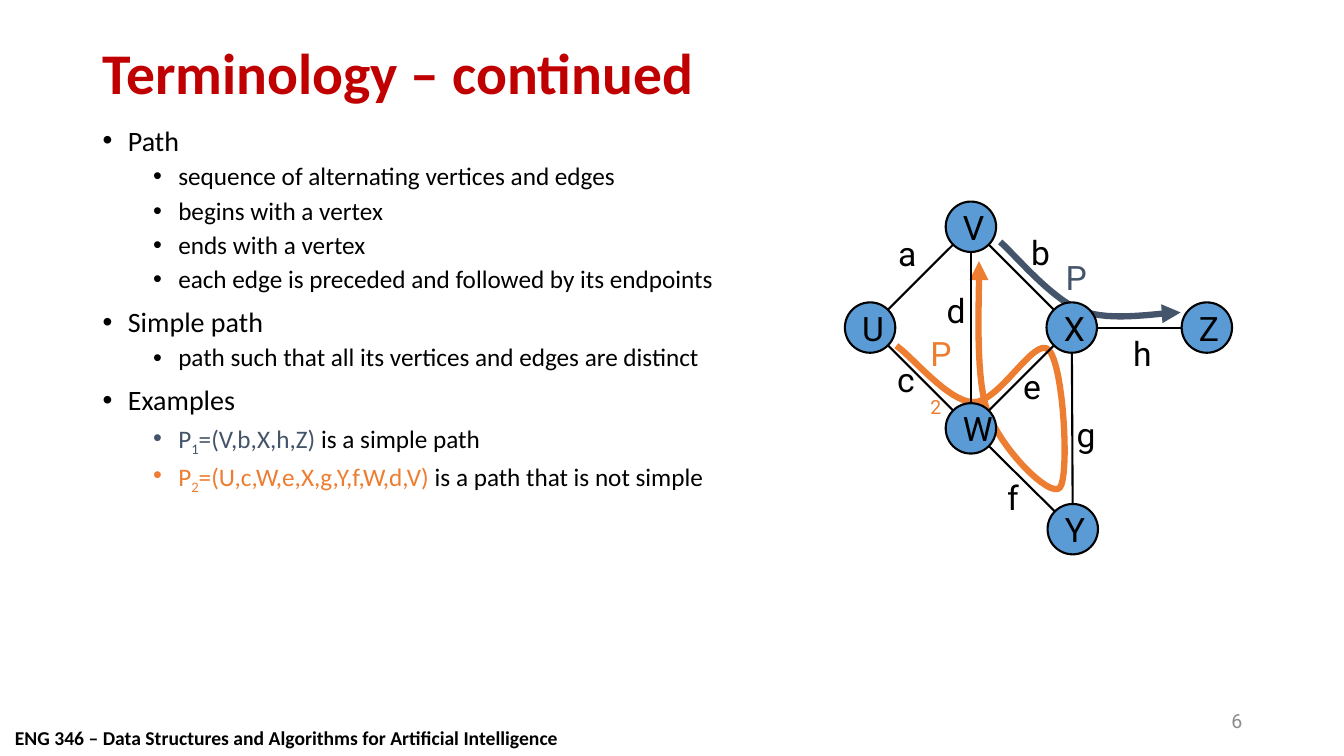
"""Build the slide on paths in a graph."""
import math
import pptx
import pptx.util
import pptx.dml.color
import pptx.enum.shapes
import pptx.enum.text
import pptx.oxml
import pptx.oxml.ns

RGB = pptx.dml.color.RGBColor
BLACK = RGB(0x00, 0x00, 0x00)
RED = RGB(0xC0, 0x00, 0x00)
SLATE = RGB(0x44, 0x54, 0x6A)
ORANGE = RGB(0xED, 0x7D, 0x31)
BLUE = RGB(0x5B, 0x9B, 0xD5)
GRAY = RGB(0x8C, 0x8C, 0x8C)

PX = 9144
RADIUS = 25
STEPS = 16
ANCHOR = pptx.enum.text.MSO_ANCHOR
ALIGN = pptx.enum.text.PP_ALIGN

TITLE = "Terminology – continued"
FOOTER = "ENG 346 – Data Structures and Algorithms for Artificial Intelligence"
NUMBER = "6"

BODY = [
    (0, BLACK, [("Path", BLACK, 0)]),
    (1, BLACK, [("sequence of alternating vertices and edges", BLACK, 0)]),
    (1, BLACK, [("begins with a vertex", BLACK, 0)]),
    (1, BLACK, [("ends with a vertex", BLACK, 0)]),
    (1, BLACK, [("each edge is preceded and followed by its endpoints", BLACK, 0)]),
    (0, BLACK, [("Simple path", BLACK, 0)]),
    (1, BLACK, [("path such that all its vertices and edges are distinct", BLACK, 0)]),
    (0, BLACK, [("Examples", BLACK, 0)]),
    (1, SLATE, [("P", SLATE, 0), ("1", SLATE, -25), ("=(V,b,X,h,Z)", SLATE, 0),
                (" is a simple path", BLACK, 0)]),
    (1, ORANGE, [("P", ORANGE, 0), ("2", ORANGE, -25),
                 ("=(U,c,W,e,X,g,Y,f,W,d,V)", ORANGE, 0),
                 (" is a path that is not simple", BLACK, 0)]),
]
LEVELS = [
    {"size": 20, "left": 25, "before": 10},
    {"size": 18, "left": 75, "before": 5},
]

NODES = {"X": (1063, 325), "U": (863, 325), "V": (963, 225),
         "W": (963, 425), "Z": (1197, 325), "Y": (1064, 525)}
EDGES = ["VU", "WU", "WX", "XZ", "VX", "VW", "WY", "XY"]
LABELS = {"a": (881, 226, 38), "c": (880, 351, 36), "b": (1013, 225, 40),
          "e": (1005, 358, 38), "d": (929, 283, 40), "f": (989, 468, 31),
          "g": (1058, 406, 40), "h": (1114, 325, 40)}

TRAIL_ONE = [(992, 240), (1005, 251), (1042, 296), (1072, 308),
             (1102, 320), (1150, 310), (1171, 310)]
TRAIL_TWO = [(889, 343), (905, 354), (940, 398), (965, 399),
             (991, 400), (1026, 333), (1040, 347),
             (1055, 361), (1061, 474), (1051, 484),
             (1041, 494), (992, 445), (979, 407),
             (966, 370), (972, 284), (971, 259)]


def emu(*vals):
    return [round(val * PX) for val in vals]


def add_run(para, text, color, base=0, **form):
    run = para.add_run()
    run.text = text
    for name, val in form.items():
        setattr(run.font, name, pptx.util.Pt(val) if name == "size" else val)
    run.font.color.rgb = color
    if base:
        run._r.get_or_add_rPr().set("baseline", str(base * 1000))


def add_text(slide, place, runs, frame=None, para=None, **form):
    box = slide.shapes.add_textbox(*emu(*place)).text_frame
    for name, val in {"word_wrap": True, **(frame or {})}.items():
        setattr(box, name, val)
    first = box.paragraphs[0]
    for name, val in (para or {}).items():
        setattr(first, name, val)
    for text, color, base in runs:
        add_run(first, text, color, base, **form)


def add_child(parent, tag, **attrs):
    child = pptx.oxml.parse_xml(f"<a:{tag} {pptx.oxml.ns.nsdecls('a')}/>")
    for name, val in attrs.items():
        child.set(name, str(val))
    parent.append(child)
    return child


def add_body(slide):
    box = slide.shapes.add_textbox(*emu(92, 121, 707, 554)).text_frame
    box.word_wrap = True
    for row, (level, mark, runs) in enumerate(BODY):
        para = box.add_paragraph() if row else box.paragraphs[0]
        look = LEVELS[level]
        para.level = level
        para.line_spacing = 0.9
        para.space_before = pptx.util.Pt(look["before"] if row else 0)
        props = para._p.get_or_add_pPr()
        props.set("marL", str(look["left"] * PX))
        props.set("indent", str(-25 * PX))
        add_child(add_child(props, "buClr"), "srgbClr", val=mark)
        add_child(props, "buFont", typeface="Arial")
        add_child(props, "buChar", char="•")
        for text, color, base in runs:
            add_run(para, text, color, base, name="Calibri", size=look["size"])


def curve(knots):
    points = [knots[0]]
    for at in range(0, len(knots) - 1, 3):
        for step in range(1, STEPS + 1):
            t = step / STEPS
            parts = [(1 - t) ** 3, 3 * t * (1 - t) ** 2, 3 * t * t * (1 - t), t ** 3]
            points.append(tuple(sum(w * knot[axis] for w, knot in zip(parts, knots[at:at + 4]))
                                for axis in (0, 1)))
    return points


def add_trail(slide, knots, color):
    points = [emu(*point) for point in curve(knots)]
    pen = slide.shapes.build_freeform(*points[0], scale=1.0)
    pen.add_line_segments(points[1:], close=False)
    trail = pen.convert_to_shape()
    trail.shadow.inherit = False
    trail.fill.background()
    trail.line.color.rgb = color
    trail.line.width = pptx.util.Pt(4.5)
    add_child(trail.line._get_or_add_ln(), "tailEnd", type="triangle")


def add_node(slide, name, center):
    x, y = center
    node = slide.shapes.add_shape(pptx.enum.shapes.MSO_SHAPE.OVAL,
                                  *emu(x - RADIUS, y - RADIUS, 2 * RADIUS, 2 * RADIUS))
    node.shadow.inherit = False
    node.fill.solid()
    node.fill.fore_color.rgb = BLUE
    node.line.color.rgb = BLACK
    node.line.width = pptx.util.Pt(1.5)
    frame = node.text_frame
    frame.word_wrap = True
    frame.vertical_anchor = ANCHOR.MIDDLE
    frame.paragraphs[0].alignment = ALIGN.LEFT
    add_run(frame.paragraphs[0], name, BLACK, name="Roboto", size=24)


def add_edge(slide, start, end):
    (x, y), (u, v) = NODES[start], NODES[end]
    span = math.hypot(u - x, v - y)
    dx, dy = RADIUS * (u - x) / span, RADIUS * (v - y) / span
    edge = slide.shapes.add_connector(pptx.enum.shapes.MSO_CONNECTOR.STRAIGHT,
                                      *emu(x + dx, y + dy, u - dx, v - dy))
    edge.line.color.rgb = BLACK
    edge.line.width = pptx.util.Pt(1.5)
    add_child(edge._element.spPr, "effectLst")


def main():
    deck = pptx.Presentation()
    deck.slide_width, deck.slide_height = emu(1333, 750)
    slide = deck.slides.add_slide(deck.slide_layouts[6])
    middle = {"vertical_anchor": ANCHOR.MIDDLE}
    letter = {"name": "Roboto", "size": 24}
    add_text(slide, (5, 715, 563, 33), [(FOOTER, BLACK, 0)], {"word_wrap": False},
             name="Calibri", size=14, bold=True)
    add_text(slide, (92, 40, 1150, 70), [(TITLE, RED, 0)], middle, {"line_spacing": 0.9},
             name="Calibri", size=41.1, bold=True)
    add_body(slide)
    add_text(slide, (942, 695, 300, 40), [(NUMBER, GRAY, 0)], middle,
             {"alignment": ALIGN.RIGHT}, name="Roboto", size=14)
    add_trail(slide, TRAIL_TWO, ORANGE)
    add_text(slide, (1047, 250, 51, 55), [("P", SLATE, 0), ("1", SLATE, -25)], **letter)
    add_trail(slide, TRAIL_ONE, SLATE)
    for name, center in NODES.items():
        add_node(slide, name, center)
    for start, end in EDGES:
        add_edge(slide, start, end)
    for name, (x, y, width) in LABELS.items():
        add_text(slide, (x, y, width, 50), [(name, BLACK, 0)], **letter)
    add_text(slide, (913, 325, 51, 55), [("P", ORANGE, 0), ("2", ORANGE, -25)], **letter)
    deck.save("out.pptx")


if __name__ == "__main__":
    main()
